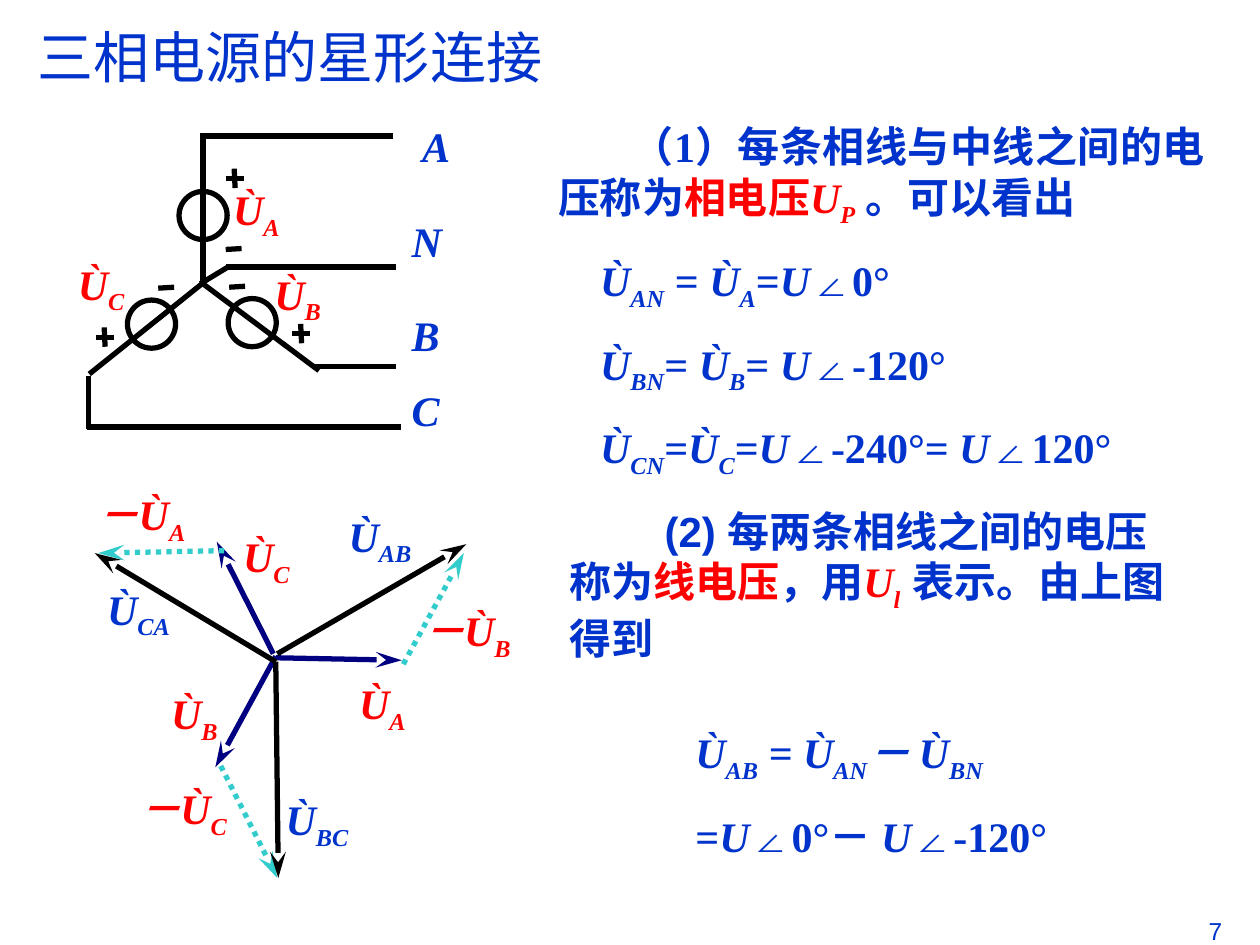
"""Build a slide on the star connection of a three-phase source."""
import dataclasses
import typing

import pptx
import pptx.dml.color
import pptx.enum.dml
import pptx.enum.shapes
import pptx.enum.text
import pptx.oxml.ns
import pptx.util
from lxml import etree

Cm = pptx.util.Cm
Align = pptx.enum.text.PP_ALIGN
Fit = pptx.enum.text.MSO_AUTO_SIZE


@dataclasses.dataclass(frozen=True)
class Theme:
    """Colours, fonts and sizes in points."""
    blue: str = "0033CC"
    red: str = "FF0000"
    navy: str = "000080"
    teal: str = "33CCCC"
    black: str = "000000"
    white: str = "FFFFFF"
    sans: str = "Arial"
    serif: str = "Times New Roman"
    head: int = 32
    body: int = 24
    foot: int = 14
    gap: int = 15
    line: int = 3


THEME = Theme()


class Run(typing.NamedTuple):
    """A piece of text in one style."""
    text: str
    color: str = THEME.blue
    slant: bool = False
    sub: bool = False
    font: str = THEME.serif
    size: int = THEME.body
    bold: bool = True


class Line(typing.NamedTuple):
    """A paragraph with its first-line indent in centimetres."""
    runs: list[Run]
    indent: float = 0
    align: Align = Align.LEFT


class Box(typing.NamedTuple):
    """A text frame in centimetres."""
    left: float
    top: float
    width: float
    height: float
    lines: list[Line]


class Wire(typing.NamedTuple):
    """A straight stroke in centimetres."""
    x1: float
    y1: float
    x2: float
    y2: float
    color: str = THEME.black
    arrow: bool = False
    dots: bool = False


def var(text: str, low: str = "", color: str = THEME.blue) -> list[Run]:
    """Return a slanted symbol with an optional subscript."""
    runs = [Run(text, color, True)]
    return runs + [Run(low, color, True, True)] if low else runs


def volt(low: str, color: str = THEME.blue, sign: str = "") -> list[Run]:
    """Return a voltage phasor."""
    return var(sign + "Ù", low, color)


def tint(text: str) -> pptx.dml.color.RGBColor:
    """Return a colour object."""
    return pptx.dml.color.RGBColor.from_string(text)


def fill(frame, lines: list[Line]) -> None:
    """Write styled paragraphs into a text frame."""
    for i, line in enumerate(lines):
        para = frame.add_paragraph() if i else frame.paragraphs[0]
        para.alignment = line.align
        para.space_before = pptx.util.Pt(THEME.gap if i else 0)
        if line.indent:
            para._p.get_or_add_pPr().set("indent", str(Cm(line.indent)))
        for item in line.runs:
            run = para.add_run()
            run.text = item.text
            font = run.font
            font.name, font.size = item.font, pptx.util.Pt(item.size)
            font.bold, font.italic = item.bold, item.slant
            font.color.rgb = tint(item.color)
            if item.sub:
                run._r.get_or_add_rPr().set("baseline", "-25000")


def write(shapes, box: Box, fit: Fit = Fit.SHAPE_TO_FIT_TEXT) -> None:
    """Add a wrapping text box."""
    frame = shapes.add_textbox(*map(Cm, box[:4])).text_frame
    frame.word_wrap = True
    frame.auto_size = fit
    fill(frame, box.lines)


def draw(shapes, wire: Wire) -> None:
    """Add a stroke, with an arrowhead where asked."""
    kind = pptx.enum.shapes.MSO_CONNECTOR.STRAIGHT
    link = shapes.add_connector(kind, *map(Cm, wire[:4]))
    link.line.width = pptx.util.Pt(THEME.line)
    link.line.color.rgb = tint(wire.color)
    if wire.dots:
        link.line.dash_style = pptx.enum.dml.MSO_LINE.ROUND_DOT
    qn = pptx.oxml.ns.qn
    if wire.arrow:
        etree.SubElement(link.line._get_or_add_ln(), qn("a:tailEnd"),
                         type="stealth", w="med", len="lg")
    etree.SubElement(link._element.spPr, qn("a:effectLst"))


def ring(shapes, left: float, top: float) -> None:
    """Add a source circle."""
    kind = pptx.enum.shapes.MSO_SHAPE.OVAL
    disc = shapes.add_shape(kind, *map(Cm, (left, top, 0.97, 0.97)))
    disc.shadow.inherit = False
    disc.fill.solid()
    disc.fill.fore_color.rgb = tint(THEME.white)
    disc.line.color.rgb = tint(THEME.black)
    disc.line.width = pptx.util.Pt(THEME.line)


def plus(shapes, x: float, y: float) -> None:
    """Add a plus sign centred on a point."""
    draw(shapes, Wire(x - 0.18, y, x + 0.18, y))
    draw(shapes, Wire(x - 0.01, y - 0.2, x + 0.01, y + 0.19))


def minus(shapes, x: float, y: float) -> None:
    """Add a minus sign centred on a point."""
    draw(shapes, Wire(x - 0.16, y + 0.01, x + 0.16, y - 0.01))


def label(shapes, left: float, top: float, runs: list[Run]) -> None:
    """Add a short label."""
    high = 1.42 if len(runs) > 1 else 1.27
    wide = 2.6 if len(runs) > 1 else 1.47
    write(shapes, Box(left, top, wide, high, [Line(runs)]))


WIRES = [
    Wire(4.09, 2.77, 4.09, 5.74), Wire(6.43, 7.47, 4.09, 5.72),
    Wire(4.11, 5.69, 1.8, 7.54), Wire(4.04, 2.74, 7.92, 2.74),
    Wire(6.35, 7.39, 7.98, 7.39), Wire(1.78, 7.57, 1.78, 8.64),
    Wire(1.75, 8.61, 8.08, 8.61), Wire(4.04, 5.72, 4.6, 5.38),
    Wire(4.55, 5.38, 7.98, 5.38)]
ARROWS = [
    Wire(5.56, 13.23, 4.34, 15.47, THEME.navy, True),
    Wire(5.51, 13.18, 4.37, 10.92, THEME.navy, True),
    Wire(5.56, 13.26, 8.1, 13.31, THEME.navy, True),
    Wire(8.13, 13.39, 9.35, 11.15, THEME.teal, True, True),
    Wire(4.45, 15.44, 5.59, 17.7, THEME.teal, True, True),
    Wire(4.52, 11.1, 1.98, 11.15, THEME.teal, True, True),
    Wire(5.59, 13.18, 9.4, 10.97, arrow=True),
    Wire(5.56, 13.34, 5.61, 17.7, arrow=True),
    Wire(5.56, 13.34, 1.91, 11.15, arrow=True)]
PHASE = Box(11, 2.31, 13.54, 7.49, [
    Line([Run("（1）每条相线与中线之间的电压称为"), Run("相电压", THEME.red),
          *var("U", "P", THEME.red), Run(" 。可以看出")], 1.48, Align.JUSTIFY),
    Line([*volt("AN"), Run(" = "), *volt("A"), Run("="), *var("U"),
          Run("∠0°")], 0.85, Align.JUSTIFY),
    Line([*volt("BN"), Run("= "), *volt("B"), Run("= "), *var("U"),
          Run("∠-120°")], 0.85, Align.JUSTIFY),
    Line([*volt("CN"), Run("="), *volt("C"), Run("="), *var("U"),
          Run("∠-240°= "), *var("U"), Run("∠120°")], 0.85, Align.JUSTIFY)])
CROSS = Box(11.23, 10.06, 12.9, 3.61, [Line([
    Run("(2) 每两条相线之间的电压称为", font=THEME.sans),
    Run("线电压", THEME.red, font=THEME.sans), Run("，用", font=THEME.sans),
    *var("U", "l", THEME.red), Run(" 表示。由上图得到", font=THEME.sans)], 1.92)])
RESULT = Box(13.77, 14.53, 9.73, 2.97, [
    Line([*volt("AB"), *var(" = Ù", "AN"), *var("－ Ù", "BN")]),
    Line([Run("="), *var("U"), Run("∠0°－ "), *var("U"), Run("∠-120°")])])
FOOT = Box(18.54, 18.34, 6.35, 1.32, [Line(
    [Run("7", font=THEME.sans, size=THEME.foot, bold=False)], align=Align.RIGHT)])


def main() -> None:
    """Build and save the slide."""
    deck = pptx.Presentation()
    deck.slide_width, deck.slide_height = Cm(25.4), Cm(19.05)
    slide = deck.slides.add_slide(deck.slide_layouts[5])
    title = slide.shapes.title
    title.left, title.top, title.width, title.height = map(
        Cm, (0.51, 0.33, 22.86, 1.88))
    frame = title.text_frame
    frame.auto_size = Fit.NONE
    frame.vertical_anchor = pptx.enum.text.MSO_ANCHOR.TOP
    fill(frame, [Line([Run("三相电源的星形连接", font=THEME.sans,
                           size=THEME.head, bold=False)])])
    write(slide.shapes, FOOT, Fit.NONE)
    write(slide.shapes, PHASE)

    star = slide.shapes.add_group_shape().shapes
    for spot in ((3.61, 3.86), (4.6, 6.02), (2.57, 6.05)):
        ring(star, *spot)
    for wire in WIRES:
        draw(star, wire)
    for spot in ((4.73, 3.6), (6.07, 6.73), (2.11, 6.8)):
        plus(star, *spot)
    for spot in ((4.71, 5.02), (4.78, 5.78), (3.35, 5.8)):
        minus(star, *spot)
    for low, x, y in (("A", 4.45, 3.58), ("B", 5.28, 5.28), ("C", 1.32, 5.08)):
        label(star, x, y, volt(low, THEME.red))
    for name, x, y in (("A", 8.26, 2.31), ("N", 8.05, 4.22),
                       ("B", 8.05, 6.12), ("C", 8.05, 7.62)):
        label(star, x, y, var(name))

    write(slide.shapes, CROSS)
    write(slide.shapes, RESULT)
    chart = slide.shapes.add_group_shape().shapes
    for wire in ARROWS:
        draw(chart, wire)
    for low, x, y in (("A", 6.99, 13.54), ("B", 3.2, 13.74), ("C", 4.65, 10.57)):
        label(chart, x, y, volt(low, THEME.red))
    for low, x, y in (("A", 1.7, 9.73), ("B", 8.26, 12.07), ("C", 2.54, 15.65)):
        label(chart, x, y, volt(low, THEME.red, "－"))
    for low, x, y in (("BC", 5.51, 15.88), ("AB", 6.78, 10.16), ("CA", 1.91, 11.63)):
        label(chart, x, y, volt(low))
    deck.save("out.pptx")


if __name__ == "__main__":
    main()
